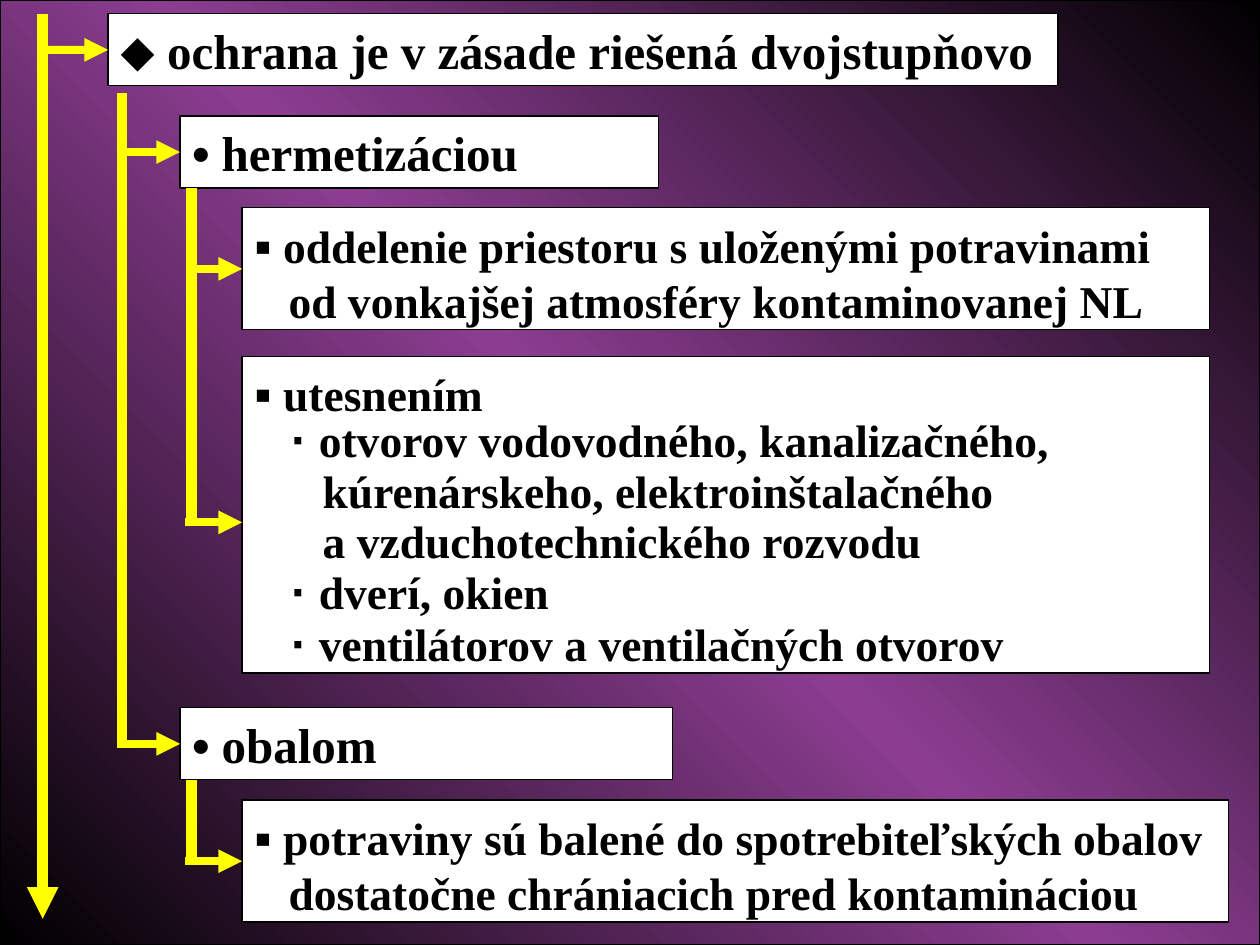
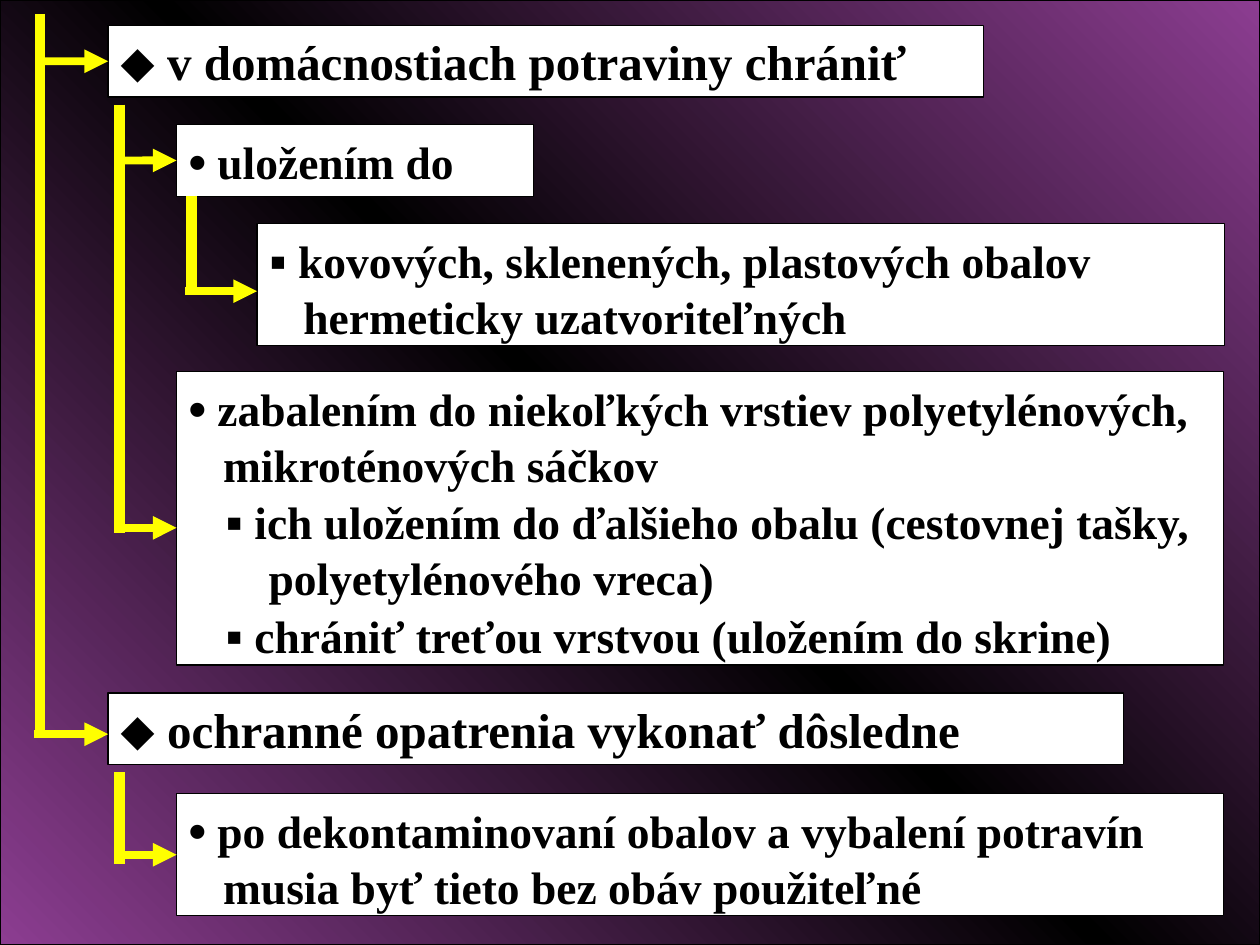
import copy

import pptx
import pptx.dml.color
import pptx.enum.shapes
import pptx.enum.text
import pptx.oxml.ns
import pptx.oxml.xmlchemy
import pptx.util

Cm = pptx.util.Cm
Pt = pptx.util.Pt
RGB = pptx.dml.color.RGBColor.from_string
qn = pptx.oxml.ns.qn
new_element = pptx.oxml.xmlchemy.OxmlElement

COLOURS = {"black": "000000", "purple": "8C3D91", "box": "FFFFFF", "arrow": "FFFF00"}
MARKER_FONT, TEXT_FONT = "Arial", "Times New Roman"
MARKER_SIZE = 28
TRUNK_WIDTH, BRANCH_WIDTH = 6, 4.5
ONE_LINE, TWO_LINES = 1.45, 2.46  # box heights in cm
INDENT, SUB_INDENT = 19.5, 21  # points
GAP, NARROW_GAP, WIDE_GAP = 16.2, 9.8, 19.5

# box: left, top, width, height (cm), text size, (branch start, branch height), lines
# line: marker, text, indent, space before (points)
# trunk: x, top, bottom (cm), has arrowhead
SLIDES = [
    {
        "gradient": ["black", "purple", "black"],
        "boxes": [
            (2.18, 0.28, 19.15, ONE_LINE, 28, (0.84, 1.07), [
                ("⬥", "ochrana je v zásade riešená dvojstupňovo", 0, 0)]),
            (3.63, 2.34, 9.65, ONE_LINE, 28, (2.46, 3.02), [
                ("•", "hermetizáciou", 0, 0)]),
            (4.88, 4.19, 19.51, TWO_LINES, 26, (3.86, 5.51), [
                ("▪", "oddelenie priestoru s uloženými potravinami", 0, 0),
                ("", "od vonkajšej atmosféry kontaminovanej NL", INDENT, GAP)]),
            (4.88, 7.19, 19.51, 6.38, 26, (3.73, 10.53), [
                ("▪", "utesnením", 0, 0),
                ("·", "otvorov vodovodného, kanalizačného,", SUB_INDENT, NARROW_GAP),
                ("", "kúrenárskeho, elektroinštalačného", 2 * INDENT, GAP),
                ("", "a vzduchotechnického rozvodu", 2 * INDENT, GAP),
                ("·", "dverí, okien", SUB_INDENT, GAP),
                ("·", "ventilátorov a ventilačných otvorov", SUB_INDENT, GAP)]),
            (3.63, 14.27, 9.93, ONE_LINE, 28, (2.36, 14.97), [
                ("•", "obalom", 0, 0)]),
            (4.88, 16.13, 19.89, TWO_LINES, 26, (3.73, 17.42), [
                ("▪", "potraviny sú balené do spotrebiteľských obalov", 0, 0),
                ("", "dostatočne chrániacich pred kontamináciou", INDENT, GAP)]),
        ],
        "trunks": [
            (0.86, 0.28, 18.52, True),
            (2.46, 1.88, 14.96, False),
            (3.86, 3.78, 10.52, False),
            (3.86, 15.72, 17.42, False),
        ],
    },
    {
        "gradient": ["purple", "black", "purple"],
        "boxes": [
            (2.18, 0.51, 17.65, ONE_LINE, 28, (0.81, 1.27), [
                ("⬥", "v domácnostiach potraviny chrániť", 0, 0)]),
            (3.56, 2.51, 7.19, ONE_LINE, 26, (2.41, 3.23), [
                ("•", "uložením do", 0, 0)]),
            (5.18, 4.5, 19.51, TWO_LINES, 26, (3.73, 5.87), [
                ("▪", "kovových, sklenených, plastových obalov", 0, 0),
                ("", "hermeticky uzatvoriteľných", INDENT, GAP)]),
            (3.56, 7.49, 21.11, 5.92, 26, (2.41, 10.64), [
                ("•", "zabalením do niekoľkých vrstiev polyetylénových,", 0, 0),
                ("", "mikroténových sáčkov", INDENT, GAP),
                ("▪", "ich uložením do ďalšieho obalu (cestovnej tašky,", SUB_INDENT, WIDE_GAP),
                ("", "polyetylénového vreca)", 45.5, WIDE_GAP),
                ("▪", "chrániť treťou vrstvou (uložením do skrine)", SUB_INDENT, WIDE_GAP)]),
            (2.18, 13.97, 20.47, ONE_LINE, 28, (0.69, 14.8), [
                ("⬥", "ochranné opatrenia vykonať dôsledne", 0, 0)]),
            (3.56, 16, 21.11, TWO_LINES, 26, (2.41, 17.32), [
                ("•", "po dekontaminovaní obalov a vybalení potravín", 0, 0),
                ("", "musia byť tieto bez obáv použiteľné", INDENT, GAP)]),
        ],
        "trunks": [
            (0.81, 0.28, 14.86, False),
            (2.41, 2.11, 10.74, False),
            (3.86, 3.96, 5.87, False),
            (2.41, 15.57, 17.42, False),
        ],
    },
]


def add_rectangle(page, left, top, width, height):
    """Add a rectangle with the thin black outline and no shadow."""
    shape = page.shapes.add_shape(
        pptx.enum.shapes.MSO_SHAPE.RECTANGLE, left, top, width, height)
    shape.shadow.inherit = False
    shape.line.color.rgb = RGB(COLOURS["black"])
    shape.line.width = Pt(0.75)
    return shape


def add_line(page, start, end, width, arrowhead):
    """Add a yellow line between two points given in cm."""
    line = page.shapes.add_connector(
        pptx.enum.shapes.MSO_CONNECTOR.STRAIGHT, *map(Cm, start + end))
    line.line.color.rgb = RGB(COLOURS["arrow"])
    line.line.width = Pt(width)
    properties = line.element.spPr
    if arrowhead:
        tail = new_element("a:tailEnd")
        tail.set("type", "triangle")
        properties.find(qn("a:ln")).append(tail)
    properties.append(new_element("a:effectLst"))
    return line


deck = pptx.Presentation()
deck.slide_width = Cm(25.4)
deck.slide_height = Cm(19.05)

for content in SLIDES:
    page = deck.slides.add_slide(deck.slide_layouts[6])

    backdrop = add_rectangle(page, 0, 0, deck.slide_width, deck.slide_height)
    backdrop.fill.gradient()
    backdrop.fill.gradient_angle = 225
    stop_list = backdrop.element.spPr.find(f".//{qn('a:gsLst')}")
    stop_list.append(copy.deepcopy(stop_list[0]))
    for index, stop in enumerate(backdrop.fill.gradient_stops):
        stop.position = index / 2
        stop.color.rgb = RGB(COLOURS[content["gradient"][index]])

    boxes = []
    for left, top, width, height, size, branch, lines in content["boxes"]:
        box = add_rectangle(page, Cm(left), Cm(top), Cm(width), Cm(height))
        boxes.append(box)
        box.fill.solid()
        box.fill.fore_color.rgb = RGB(COLOURS["box"])
        frame = box.text_frame
        frame.word_wrap = True
        frame.vertical_anchor = pptx.enum.text.MSO_ANCHOR.TOP
        for index, (marker, text, indent, gap) in enumerate(lines):
            para = frame.add_paragraph() if index else frame.paragraphs[0]
            para.alignment = pptx.enum.text.PP_ALIGN.LEFT
            para.space_before = Pt(gap)
            if index:
                para.line_spacing = 0.4
            para._p.get_or_add_pPr().set("marL", str(Pt(indent)))
            parts = [(text, TEXT_FONT, size)]
            if marker:
                parts = [(marker, MARKER_FONT, MARKER_SIZE), (f" {text}", TEXT_FONT, size)]
            for words, font_name, font_size in parts:
                span = para.add_run()
                span.text = words
                span.font.name = font_name
                span.font.size = Pt(font_size)
                span.font.bold = True
                span.font.color.rgb = RGB(COLOURS["black"])

    for x, top, bottom, arrowhead in content["trunks"]:
        add_line(page, (x, top), (x, bottom), TRUNK_WIDTH, arrowhead)

    for box, (left, top, width, height, size, branch, lines) in zip(boxes, content["boxes"]):
        start_x, y = branch
        middle = top + height / 2
        joins_middle = abs(y - middle) < 0.1
        if joins_middle:
            y = middle
        arrow = add_line(page, (start_x, y), (left, y), BRANCH_WIDTH, True)
        if joins_middle:
            arrow.end_connect(box, 1)

deck.save("out.pptx")
